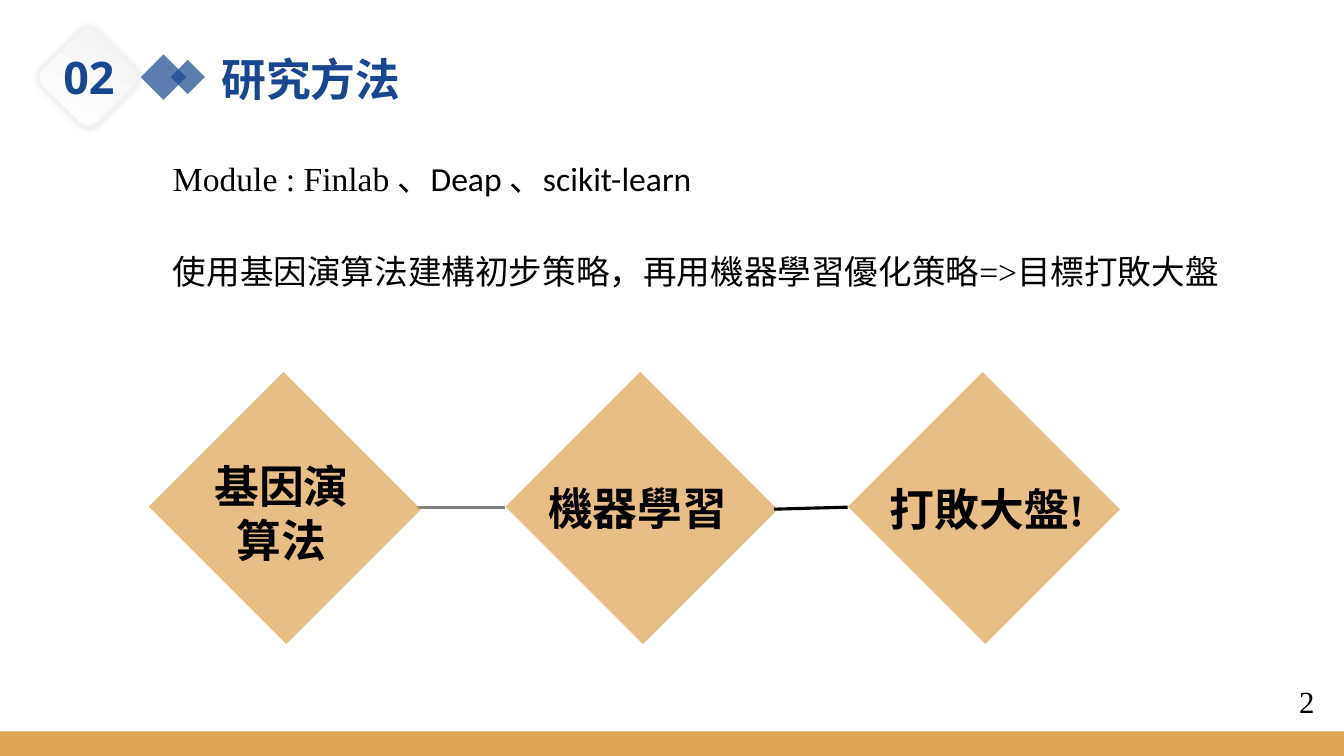
import pptx
import pptx.dml.color
import pptx.enum.shapes
import pptx.enum.text
import pptx.oxml
import pptx.oxml.ns
import pptx.util
from pptx.util import Cm

RGBColor = pptx.dml.color.RGBColor
Shapes = pptx.enum.shapes.MSO_SHAPE
Align = pptx.enum.text.PP_ALIGN

NAVY = RGBColor(0x18, 0x47, 0x8F)
GOLD = RGBColor(0xDD, 0xA5, 0x53)
GREY = RGBColor(0x80, 0x80, 0x80)
PALE = RGBColor(0xF2, 0xF2, 0xF2)
WHITE = RGBColor(0xFF, 0xFF, 0xFF)
BLACK = RGBColor(0x00, 0x00, 0x00)
NUMBER_COLOR = RGBColor(0x03, 0x03, 0x03)

SERIF = "Times New Roman"
HEADING = "Open Sans"
BODY = "Calibri"

PAGE_WIDTH, PAGE_HEIGHT = 33.87, 19.05
NAMESPACE = pptx.oxml.ns.nsdecls("a")


class Page:
    def __init__(self, slide):
        self.shapes = slide.shapes

    def shape(self, kind, left, top, width, height, rotation=0):
        shape = self.shapes.add_shape(kind, Cm(left), Cm(top), Cm(width), Cm(height))
        shape.rotation = rotation
        shape.shadow.inherit = False
        return shape

    def bar(self, left, top, width, height, color):
        bar = self.shape(Shapes.RECTANGLE, left, top, width, height)
        bar.fill.solid()
        bar.fill.fore_color.rgb = color
        bar.line.fill.background()

    def diamond(self, center_x, center_y, width, height, color, opacity=70):
        """Draw a translucent rectangle standing on its corner."""
        diamond = self.shape(Shapes.RECTANGLE, center_x - width / 2,
                             center_y - height / 2, width, height, 225)
        diamond.fill.solid()
        diamond.fill.fore_color.rgb = color
        diamond.line.fill.background()
        tint = diamond.fill._xPr.find(".//" + pptx.oxml.ns.qn("a:srgbClr"))
        tint.append(pptx.oxml.parse_xml(f'<a:alpha {NAMESPACE} val="{opacity * 1000}"/>'))

    def badge(self, left, top, size):
        """Draw the tilted, softly shadowed tile behind the section number."""
        badge = self.shape(Shapes.ROUNDED_RECTANGLE, left, top, size, size, 45)
        badge.fill.gradient()
        badge.fill.gradient_angle = 110
        for stop, color in zip(badge.fill.gradient_stops, (WHITE, PALE)):
            stop.color.rgb = color
        badge.line.color.rgb = PALE
        badge.line.width = pptx.util.Pt(2)
        effects = badge._element.spPr.find(pptx.oxml.ns.qn("a:effectLst"))
        effects.append(pptx.oxml.parse_xml(
            f'<a:outerShdw {NAMESPACE} blurRad="{pptx.util.Pt(5)}" dist="0" dir="0">'
            '<a:srgbClr val="000000"><a:alpha val="11000"/></a:srgbClr></a:outerShdw>'))

    def line(self, start, end, color):
        line = self.shapes.add_connector(pptx.enum.shapes.MSO_CONNECTOR.STRAIGHT,
                                         Cm(start[0]), Cm(start[1]), Cm(end[0]), Cm(end[1]))
        line.line.color.rgb = color
        line.line.width = pptx.util.Pt(2.25)
        line._element.spPr.append(pptx.oxml.parse_xml(f"<a:effectLst {NAMESPACE}/>"))

    def text(self, left, top, width, height, spans, size, color=BLACK,
             bold=False, align=Align.LEFT, wrap=True):
        """Write one paragraph from (text, font) spans."""
        box = self.shapes.add_textbox(Cm(left), Cm(top), Cm(width), Cm(height))
        box.text_frame.word_wrap = wrap
        para = box.text_frame.paragraphs[0]
        para.alignment = align
        for words, font in spans:
            span = para.add_run()
            span.text = words
            span.font.name = font
            span.font.size = pptx.util.Pt(size)
            span.font.bold = bold
            span.font.color.rgb = color


def main():
    deck = pptx.Presentation()
    deck.slide_width, deck.slide_height = Cm(PAGE_WIDTH), Cm(PAGE_HEIGHT)
    page = Page(deck.slides.add_slide(deck.slide_layouts[6]))

    # Heading
    for center_x, size in ((4.12, 0.81), (4.73, 0.61)):
        page.diamond(center_x, 1.94, size, size, NAVY)
    page.badge(1.24, 0.97, 1.96)
    page.text(1.35, 1.12, 1.8, 1.63, [("02", HEADING)], 32, NAVY, bold=True, wrap=False)
    page.text(5.33, 1.17, 28.32, 1.63, [("研究方法", HEADING)], 32, NAVY, bold=True)

    # Method summary
    page.text(4.11, 3.86, 28.17, 2.31,
              [("Module : Finlab", SERIF), (" 、Deap 、scikit-learn", BODY)], 24)
    page.text(4.11, 6.2, 28.17, 1.27,
              [("使用基因演算法建構初步策略，再用機器學習優化策略=>目標打敗大盤", SERIF)], 24)

    # Three steps
    page.line((10.52, 12.78), (12.73, 12.78), GREY)
    steps = (
        (7.18, "基因演算法", 4.67, 11.43, 4.85, 3.0, Align.CENTER),
        (16.17, "機器學習", 13.46, 11.99, 5.23, 1.63, Align.CENTER),
        (24.8, "打敗大盤!", 22.17, 12.01, 6.71, 1.63, Align.LEFT),
    )
    for center_x, label, left, top, width, height, align in steps:
        page.diamond(center_x, 12.8, 4.9, 4.8, GOLD)
        page.text(left, top, width, height, [(label, SERIF)], 32, bold=True, align=align)
    page.line((19.51, 12.83), (21.36, 12.78), BLACK)

    # Footer
    page.text(32.49, 17.09, 0.81, 1.19, [("2", SERIF)], 22, NUMBER_COLOR, wrap=False)
    page.bar(0, 18.43, PAGE_WIDTH, 0.62, GOLD)

    deck.save("out.pptx")


if __name__ == "__main__":
    main()
